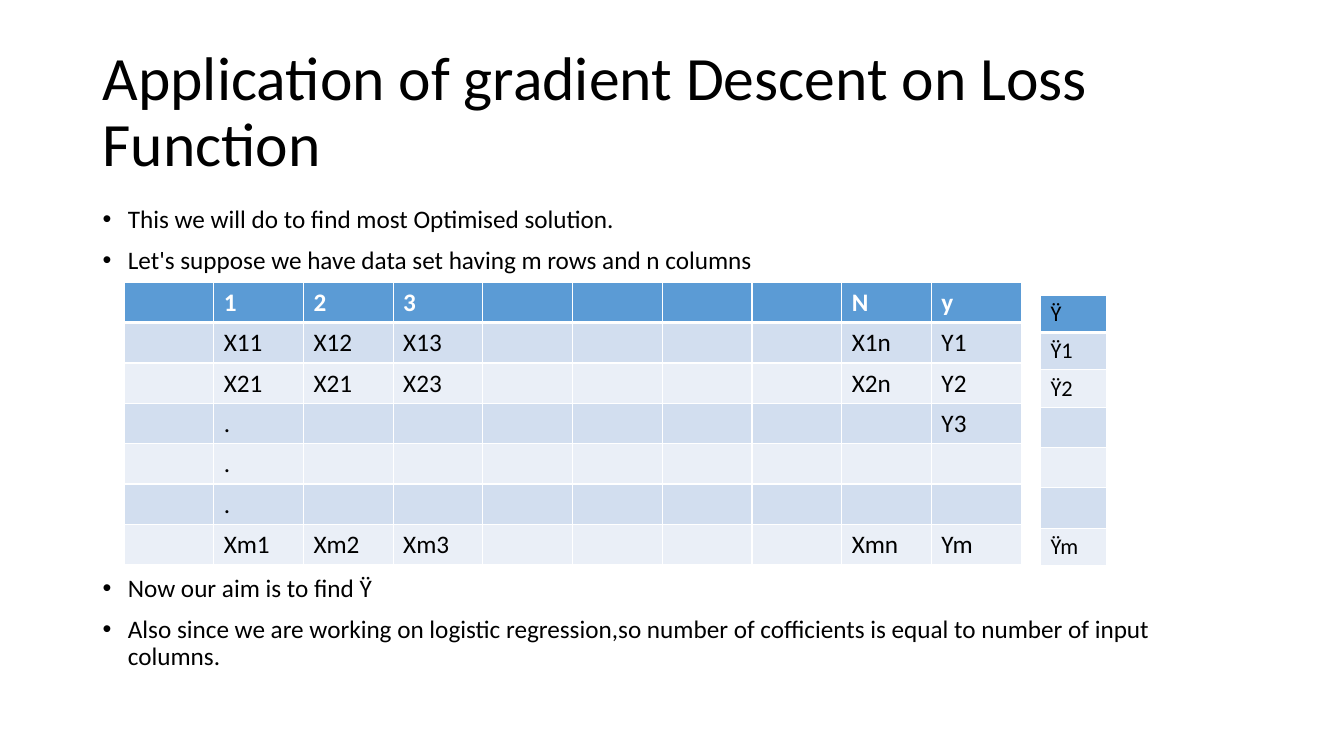
from pptx import Presentation
from pptx.dml.color import RGBColor
from pptx.enum.text import MSO_ANCHOR
from pptx.oxml import parse_xml
from pptx.oxml.ns import nsdecls
from pptx.util import Inches, Pt

FONT = "Calibri"
COLORS = {
    "text": "000000",
    "white": "FFFFFF",
    "header": "5B9BD5",
    "band_dark": "D2DEEF",
    "band_light": "EAEFF7",
}

COLUMN_COUNT = 10
# Filled cells of each row, keyed by column index
DATA_ROWS = [
    {1: "1", 2: "2", 3: "3", 8: "N", 9: "y"},
    {1: "X11", 2: "X12", 3: "X13", 8: "X1n", 9: "Y1"},
    {1: "X21", 2: "X21", 3: "X23", 8: "X2n", 9: "Y2"},
    {1: ".", 9: "Y3"},
    {1: "."},
    {1: "."},
    {1: "Xm1", 2: "Xm2", 3: "Xm3", 8: "Xmn", 9: "Ym"},
]
PREDICTION_ROWS = [{0: text} for text in ("Ÿ", "Ÿ1", "Ÿ2", "", "", "", "Ÿm")]


def add_run(para, text, size, color="text", bold=False):
    span = para.add_run()
    span.text = text
    span.font.name = FONT
    span.font.size = Pt(size)
    span.font.bold = bold
    span.font.color.rgb = RGBColor.from_string(COLORS[color])


def add_text_box(page, left, top, width, height, anchor=MSO_ANCHOR.TOP):
    box = page.shapes.add_textbox(
        Inches(left), Inches(top), Inches(width), Inches(height))
    box.text_frame.word_wrap = True
    box.text_frame.vertical_anchor = anchor
    return box.text_frame


def add_title(page, text):
    frame = add_text_box(page, 0.92, 0.4, 11.5, 1.45, MSO_ANCHOR.MIDDLE)
    para = frame.paragraphs[0]
    para.line_spacing = 0.9
    add_run(para, text, 44)


def add_bullets(page, top, height, lines):
    frame = add_text_box(page, 0.92, top, 11.5, height)
    for index, line in enumerate(lines):
        para = frame.add_paragraph() if index else frame.paragraphs[0]
        properties = para._p.get_or_add_pPr()
        properties.set("marL", str(Inches(0.25)))
        properties.set("indent", str(Inches(-0.25)))
        properties.append(parse_xml(
            f'<a:buFont {nsdecls("a")} typeface="Arial"/>'))
        properties.append(parse_xml(f'<a:buChar {nsdecls("a")} char="•"/>'))
        para.line_spacing = 0.9
        para.space_before = Pt(10 if index else 0)
        add_run(para, line, 18)


def set_borders(cell, top, bottom):
    properties = cell._tc.get_or_add_tcPr()
    for side, points in (("L", 1), ("R", 1), ("T", top), ("B", bottom)):
        properties.append(parse_xml(
            f'<a:ln{side} {nsdecls("a")} w="{Pt(points)}"><a:solidFill>'
            f'<a:srgbClr val="{COLORS["white"]}"/></a:solidFill></a:ln{side}>'))


def row_fill(row):
    if row == 0:
        return "header"
    return "band_dark" if row % 2 else "band_light"


def add_banded_table(page, left, top, column_width, column_count, rows,
                     heights, size, header_color, header_bold):
    table = page.shapes.add_table(
        len(rows), column_count, Inches(left), Inches(top),
        Inches(column_width * column_count), Inches(sum(heights))).table
    for column in table.columns:
        column.width = Inches(column_width)
    for row, (texts, height) in enumerate(zip(rows, heights)):
        table.rows[row].height = Inches(height)
        for column in range(column_count):
            cell = table.cell(row, column)
            # The line under the header is thicker than the rest
            set_borders(cell, 3 if row == 1 else 1, 3 if row == 0 else 1)
            cell.fill.solid()
            cell.fill.fore_color.rgb = RGBColor.from_string(
                COLORS[row_fill(row)])
            if texts.get(column):
                add_run(cell.text_frame.paragraphs[0], texts[column], size,
                        "text" if row else header_color,
                        header_bold and row == 0)


def main():
    deck = Presentation()
    deck.slide_width, deck.slide_height = Inches(13.33), Inches(7.5)
    page = deck.slides.add_slide(deck.slide_layouts[6])

    # Title and introduction
    add_title(page, "Application of gradient Descent on Loss Function")
    add_bullets(page, 2, 0.8, [
        "This we will do to find most Optimised solution.",
        "Let's suppose we have data set having m rows and n columns",
    ])

    # Data set and its predicted values
    add_banded_table(page, 1.23, 2.8, 0.89, COLUMN_COUNT, DATA_ROWS,
                     [0.4] * len(DATA_ROWS), 18, "white", True)
    prediction_heights = [0.37 if row[0] else 0.4 for row in PREDICTION_ROWS]
    add_banded_table(page, 10.32, 2.93, 0.66, 1, PREDICTION_ROWS,
                     prediction_heights, 16, "text", False)

    # Aim
    add_bullets(page, 5.66, 1.1, [
        "Now our aim is to find Ÿ",
        "Also since we are working on logistic regression,so number of "
        "cofficients is equal to number of input columns.",
    ])

    deck.save("out.pptx")


if __name__ == "__main__":
    main()
